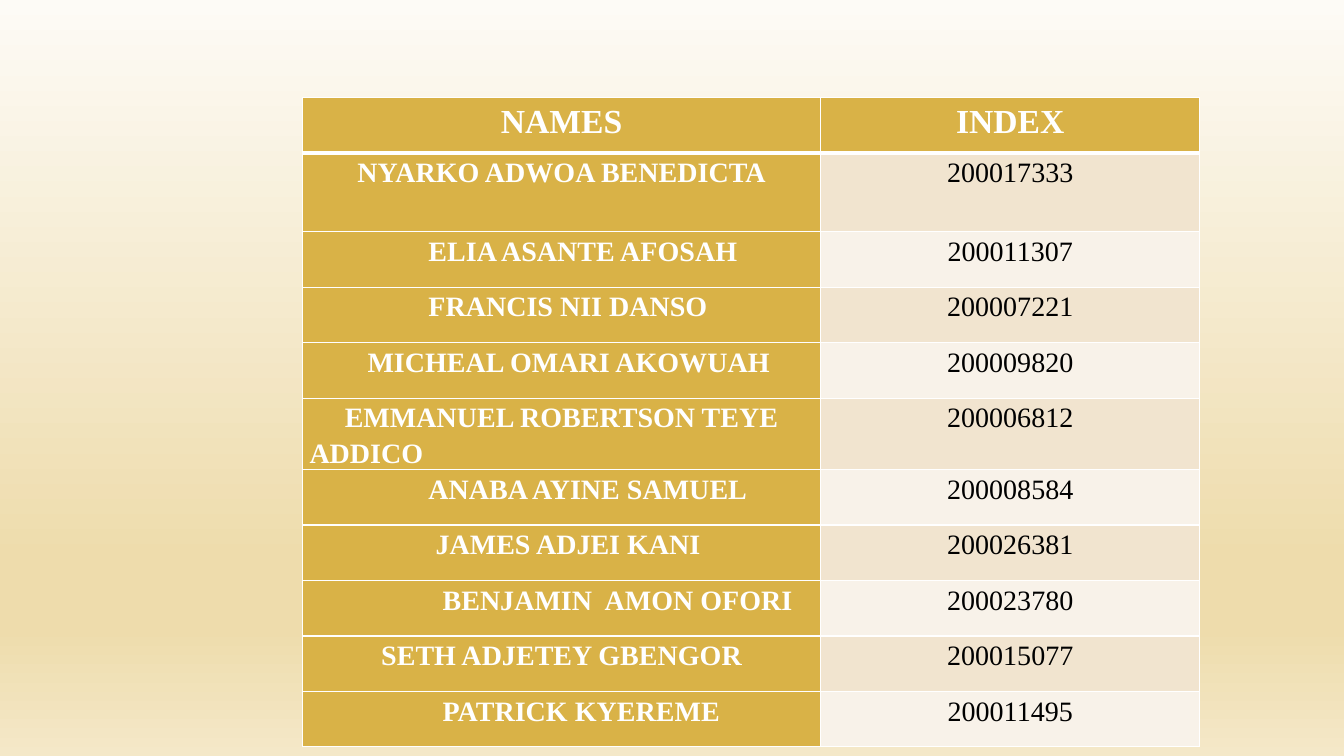
from lxml import etree
from pptx import Presentation
from pptx import util as u
from pptx.dml import color
from pptx.enum import text
from pptx.oxml import ns

WHITE, BLACK, GOLD = "FFFFFF", "000000", "D9B247"
BANDS = ("F1E4CF", "F8F2E9")
BACKGROUND = ((0, "FDFBF6"), (74, "EEDCAC"), (83, "EEDCAC"), (100, "F4E8C8"))
CENTER, LEFT = text.PP_ALIGN.CENTER, text.PP_ALIGN.LEFT

# Name, index number, alignment and first-line indent of the name in inches
MEMBERS = (
    ("NYARKO ADWOA BENEDICTA", "200017333", CENTER, 0),
    ("ELIA ASANTE AFOSAH", "200011307", LEFT, 1.18),
    ("FRANCIS NII DANSO", "200007221", LEFT, 1.18),
    ("MICHEAL OMARI AKOWUAH", "200009820", CENTER, 0.14),
    ("EMMANUEL ROBERTSON TEYE ADDICO", "200006812", LEFT, 0.35),
    ("ANABA AYINE SAMUEL", "200008584", LEFT, 1.18),
    ("JAMES ADJEI KANI", "200026381", LEFT, 1.25),
    ("BENJAMIN  AMON OFORI", "200023780", LEFT, 1.32),
    ("SETH ADJETEY GBENGOR", "200015077", CENTER, 0),
    ("PATRICK KYEREME", "200011495", LEFT, 1.32),
)


def rgb(value):
    return color.RGBColor.from_string(value)


def add_xml(parent, tag, **attributes):
    return etree.SubElement(parent, ns.qn(tag), attributes)


def write(frame, words, size=20, ink=WHITE, bold=True, align=CENTER, indent=0):
    para = frame.paragraphs[0]
    para.alignment = align
    para.line_spacing = 1.15
    if indent:
        properties = para._p.get_or_add_pPr()
        properties.set("marL", "0")
        properties.set("indent", str(u.Inches(indent)))
    span = para.add_run()
    span.text = words
    span.font.name = "Times New Roman"
    span.font.size = u.Pt(size)
    span.font.bold = bold
    span.font.color.rgb = rgb(ink)


class RosterSlide:
    def __init__(self, deck):
        self.slide = deck.slides.add_slide(deck.slide_layouts[6])

    def background(self, stops):
        """Fill the page with a gradient that runs from top to bottom."""
        fill = self.slide.background.fill
        fill.gradient()
        fill.gradient_angle = 270
        stop_list = self.slide.element.xpath(".//p:bg//a:gsLst")[0]
        for stop in list(stop_list):
            stop_list.remove(stop)
        for percent, value in stops:
            stop = add_xml(stop_list, "a:gs", pos=str(percent * 1000))
            add_xml(stop, "a:srgbClr", val=value)

    def table(self, left, top, widths, heights):
        frame = self.slide.shapes.add_table(
            len(heights), len(widths), u.Inches(left), u.Inches(top),
            u.Inches(sum(widths)), u.Inches(sum(heights)))
        table = frame.table
        table.horz_banding = False
        for column, width in zip(table.columns, widths):
            column.width = u.Inches(width)
        for row, height in zip(table.rows, heights):
            row.height = u.Inches(height)
        return table

    def cell(self, cell, words, fill, top=1, bottom=1, **style):
        cell.margin_left = cell.margin_right = u.Inches(0.07)
        cell.margin_top = cell.margin_bottom = 0
        properties = cell._tc.get_or_add_tcPr()
        for side, width in zip("LRTB", (1, 1, top, bottom)):
            line = add_xml(properties, f"a:ln{side}", w=str(u.Pt(width)))
            add_xml(add_xml(line, "a:solidFill"), "a:srgbClr", val=WHITE)
        cell.fill.solid()
        cell.fill.fore_color.rgb = rgb(fill)
        write(cell.text_frame, words, **style)


def main():
    deck = Presentation()
    deck.slide_width, deck.slide_height = u.Inches(13.33), u.Inches(7.5)
    page = RosterSlide(deck)
    page.background(BACKGROUND)

    heights = [0.55, 0.78] + [0.55] * (len(MEMBERS) - 1)
    roster = page.table(3, 0.97, (5.14, 3.76), heights)
    for column, heading in enumerate(("NAMES", "INDEX")):
        page.cell(roster.cell(0, column), heading, GOLD, bottom=3, size=24)
    for row, (name, index, align, indent) in enumerate(MEMBERS, 1):
        top = 3 if row == 1 else 1
        page.cell(roster.cell(row, 0), name, GOLD, top, align=align, indent=indent)
        page.cell(roster.cell(row, 1), index, BANDS[(row - 1) % 2], top,
                  ink=BLACK, bold=False)

    deck.save("out.pptx")


if __name__ == "__main__":
    main()
